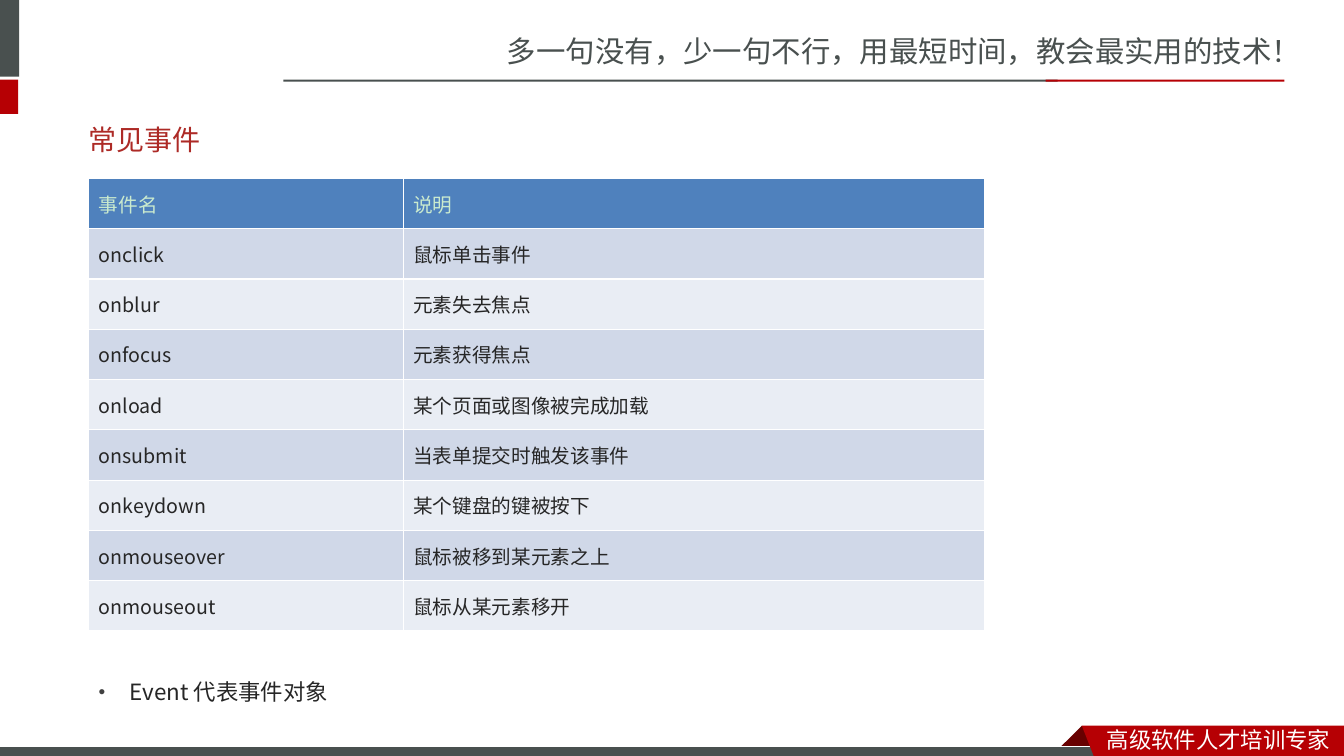
from pptx import Presentation
from pptx.dml.color import RGBColor
from pptx.enum.shapes import MSO_SHAPE
from pptx.enum.text import MSO_ANCHOR
from pptx.util import Emu, Pt
from lxml import etree

RECT = MSO_SHAPE.RECTANGLE
MIDDLE = MSO_ANCHOR.MIDDLE
TOP = MSO_ANCHOR.TOP
PX = 9144
SANS = "Noto Sans CJK SC"
BODY = "Noto Sans CJK JP"
NS = "http://schemas.openxmlformats.org/drawingml/2006/main"

COLORS = {
    "white": "FFFFFF", "gray": "49504F", "red": "B60004", "dark": "680000",
    "title": "AD2A26", "ink": "262626", "bullet": "404040", "mint": "CAEACE",
    "head": "4F81BD", "odd": "D0D8E8", "even": "E9EDF4",
}

EVENTS = [
    ("事件名", "说明"),
    ("onclick", "鼠标单击事件"),
    ("onblur", "元素失去焦点"),
    ("onfocus", "元素获得焦点"),
    ("onload", "某个页面或图像被完成加载"),
    ("onsubmit", "当表单提交时触发该事件"),
    ("onkeydown", "某个键盘的键被按下"),
    ("onmouseover", "鼠标被移到某元素之上"),
    ("onmouseout", "鼠标从某元素移开"),
]


def px(*sizes):
    return [Emu(size * PX) for size in sizes]


def rgb(name):
    return RGBColor.from_string(COLORS[name])


def write(frame, text, size=14, color="ink", font=SANS, east=SANS):
    para = frame.paragraphs[0]
    run = para.add_run()
    run.text = text
    run.font.size = Pt(size)
    run.font.bold = False
    run.font.name = font
    run.font.color.rgb = rgb(color)
    etree.SubElement(run.font._element, f"{{{NS}}}ea", typeface=east)
    return para


class Deck:
    def __init__(self, width, height):
        self.show = Presentation()
        self.show.slide_width, self.show.slide_height = px(width, height)
        self.slide = self.show.slides.add_slide(self.show.slide_layouts[6])
        self.shapes = self.slide.shapes
        fill = self.slide.background.fill
        fill.solid()
        fill.fore_color.rgb = rgb("white")

    def paint(self, shape, color, edge=None):
        shape.shadow.inherit = False
        shape.fill.solid()
        shape.fill.fore_color.rgb = rgb(color)
        if edge:
            shape.line.color.rgb = rgb(edge)
            shape.line.width = Pt(0.75)
        else:
            shape.line.fill.background()

    def bar(self, box, color, edge=None):
        self.paint(self.shapes.add_shape(RECT, *px(*box)), color, edge)

    def outline(self, points, color):
        pen = self.shapes.build_freeform(*points[0], scale=PX)
        pen.add_line_segments(points[1:], close=True)
        self.paint(pen.convert_to_shape(), color)

    def text(self, box, words, anchor=TOP, **style):
        frame = self.shapes.add_textbox(*px(*box)).text_frame
        frame.word_wrap = True
        frame.vertical_anchor = anchor
        return write(frame, words, **style)

    def bullet(self, box, words, **style):
        para = self.text(box, words, **style)
        para.line_spacing = 1.5
        props = para._p.get_or_add_pPr()
        indent = 31 * PX
        props.set("marL", str(indent))
        props.set("indent", str(-indent))
        tint = etree.SubElement(props, f"{{{NS}}}buClr")
        etree.SubElement(tint, f"{{{NS}}}srgbClr", val=COLORS["bullet"])
        etree.SubElement(props, f"{{{NS}}}buSzPct", val="85000")
        etree.SubElement(props, f"{{{NS}}}buFont", typeface="Arial")
        etree.SubElement(props, f"{{{NS}}}buChar", char="•")

    def table(self, box, widths, rows):
        grid = self.shapes.add_table(len(rows), len(widths), *px(*box)).table
        for column, width in zip(grid.columns, px(*widths)):
            column.width = width
        for r, row in enumerate(rows):
            shade = ("even", "odd")[r % 2] if r else "head"
            style = {"font": BODY, "east": BODY} if r else {"color": "mint"}
            for c, words in enumerate(row):
                cell = grid.cell(r, c)
                cell.vertical_anchor = MIDDLE
                cell.fill.solid()
                cell.fill.fore_color.rgb = rgb(shade)
                write(cell.text_frame, words, **style)


def main():
    deck = Deck(1333, 750)
    deck.text((493, 28, 841, 47), "多一句没有，少一句不行，用最短时间，教会最实用的技术！",
              size=21, color="gray")
    deck.bar((-6, 0, 25, 76), "gray")
    deck.bar((-6, 79, 24, 34), "red")
    deck.bar((281, 79, 768, 2), "gray")
    deck.bar((1037, 79, 237, 2), "red")
    deck.outline([(1073, 720), (1095, 742), (1094, 743), (1052, 743), (1051, 742)], "dark")
    deck.bar((-1, 741, 1100, 12), "gray", edge="white")
    deck.outline([(1073, 720), (1333, 720), (1333, 754), (1086, 753)], "red")
    deck.text((1088, 715, 245, 37), "高级软件人才培训专家", size=16, color="white")
    deck.text((78, 110, 1172, 57), "常见事件", anchor=MIDDLE,
              size=20, color="title", font="Roboto")
    deck.table((88, 177, 889, 449), (312, 577), EVENTS)
    deck.bullet((88, 655, 720, 48), "Event 代表事件对象", size=16)
    deck.show.save("out.pptx")


if __name__ == "__main__":
    main()
